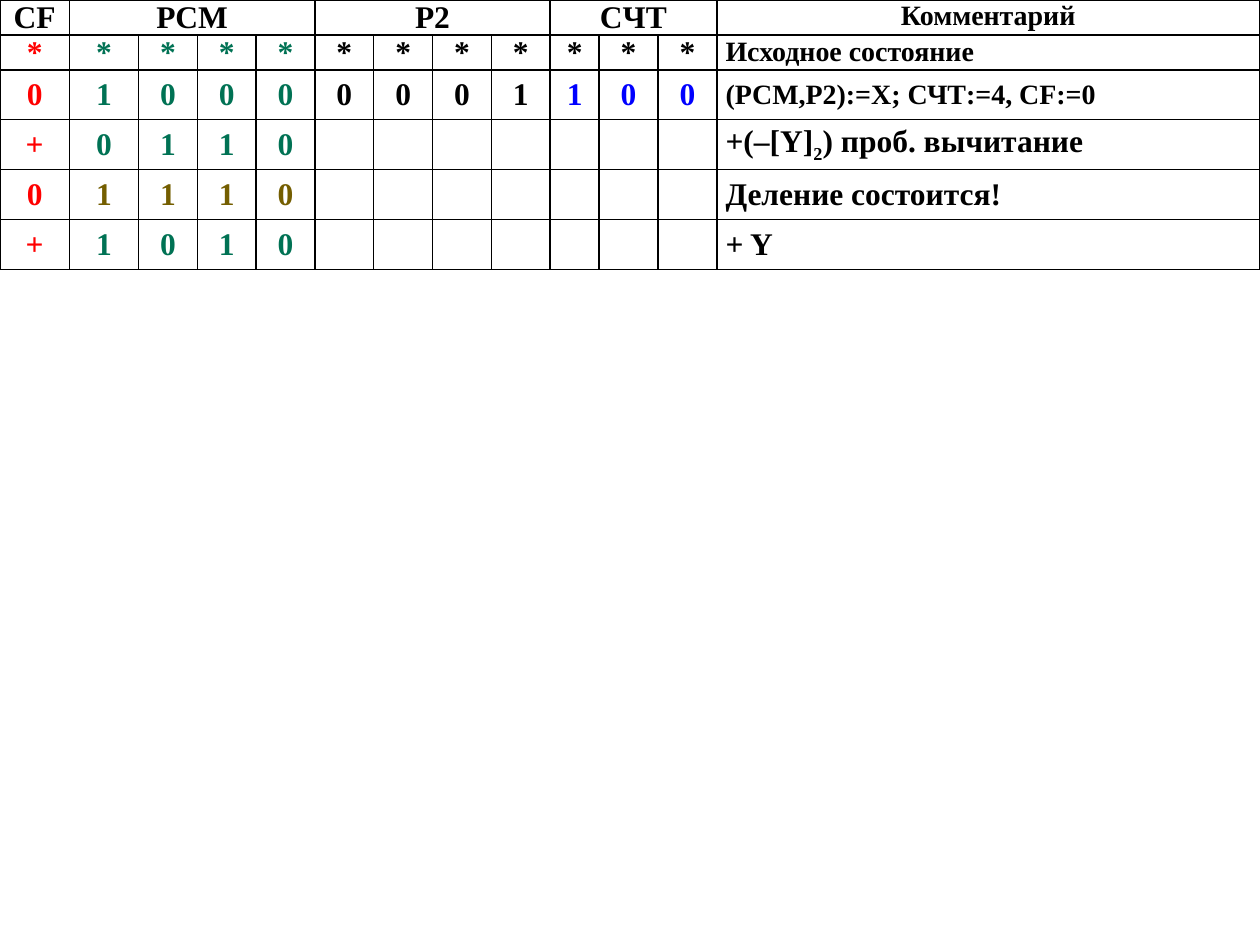
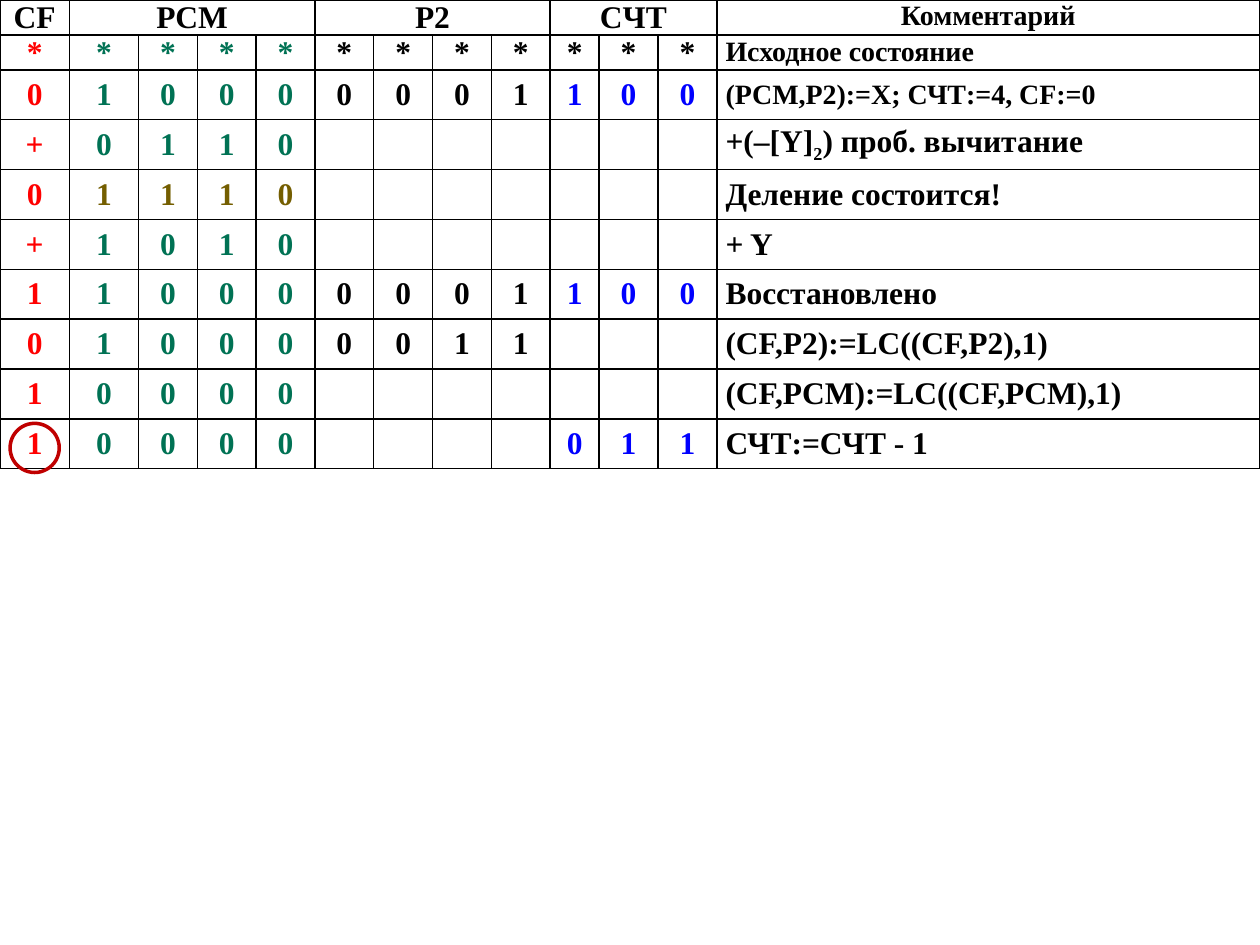
import pptx
import pptx.dml.color
import pptx.enum.shapes
import pptx.enum.text
import pptx.oxml.ns
import lxml.etree

FONT = "Times New Roman"
BLACK, RED, GREEN, OLIVE, BLUE = "000000", "FF0000", "007254", "745E00", "0000FF"
CIRCLE_RED = "C00000"

# Register name, number of bits, colour of its bits
REGISTERS = [("CF", 1, RED), ("PCM", 4, GREEN), ("P2", 4, BLACK), ("CЧТ", 3, BLUE)]
BIT_COUNT = sum(bits for _, bits, _ in REGISTERS)

# Contents of the four registers, then the comment as (text, is subscript) parts or text
STEPS = [
    ("*", "****", "****", "***", "Исходное состояние"),
    ("0", "1000", "0001", "100", "(РСМ,Р2):=Х; СЧТ:=4, CF:=0"),
    ("+", "0110", "", "", "+(–[Y]", "2", ") проб. вычитание"),
    ("0", "1110", "", "", "Деление состоится!"),
    ("+", "1010", "", "", "+ Y"),
    ("1", "1000", "0001", "100", "Восстановлено"),
    ("0", "1000", "0011", "", "(CF,P2):=LC((CF,P2),1)"),
    ("1", "0000", "", "", "(CF,PСМ):=LC((CF,PСМ),1)"),
    ("1", "0000", "", "011", "СЧТ:=СЧТ - 1"),
]
INITIAL_STEP, TRIAL_STEP = 0, 3
SMALL_COMMENT_STEPS = 2
STEPS_ON_PAGE = [5, 9]


def rgb(colour):
    return pptx.dml.color.RGBColor.from_string(colour)


def write_cell(cell, parts, colour=BLACK, size=18, centred=True, middle=True):
    """Fill a bordered cell with text parts; every second part is a subscript."""
    cell.margin_left = cell.margin_right = pptx.util.Inches(0.07)
    cell.margin_top = cell.margin_bottom = 0
    anchors = pptx.enum.text.MSO_ANCHOR
    cell.vertical_anchor = anchors.MIDDLE if middle else anchors.TOP
    para = cell.text_frame.paragraphs[0]
    if centred:
        para.alignment = pptx.enum.text.PP_ALIGN.CENTER
    para.space_after = pptx.util.Pt(1)
    para.font.name = FONT
    para.font.size = pptx.util.Pt(size)
    para.font.bold = True
    para.font.color.rgb = rgb(colour)
    for index, part in enumerate(parts):
        span = para.add_run()
        span.text = part
        if index % 2:
            span.font._element.set("baseline", "-25000")
    properties = cell._tc.get_or_add_tcPr()
    qn = pptx.oxml.ns.qn
    for side in ("a:lnL", "a:lnR", "a:lnT", "a:lnB"):
        border = lxml.etree.SubElement(properties, qn(side), w=str(pptx.util.Pt(1)))
        fill = lxml.etree.SubElement(border, qn("a:solidFill"))
        lxml.etree.SubElement(fill, qn("a:srgbClr"), val=BLACK)
    cell.fill.background()


deck = pptx.Presentation()
deck.slide_width = pptx.util.Inches(10)
deck.slide_height = pptx.util.Inches(7.5)
blank_layout = deck.slide_layouts[6]

# Columns: two wide bits, one narrow counter bit, the comment takes the rest
wide, usual, narrow = (int(deck.slide_width * share) for share in (0.055, 0.14 / 3, 0.039))
column_widths = [wide] * 2 + [usual] * 7 + [narrow] + [usual] * 2
column_widths.append(deck.slide_width - sum(column_widths))
short_row, tall_row = (int(deck.slide_height * share) for share in (0.037, 0.0528))

for step_count in STEPS_ON_PAGE:
    page = deck.slides.add_slide(blank_layout)
    row_heights = [short_row] * 2 + [tall_row] * (step_count - 1)
    frame = page.shapes.add_table(len(row_heights), len(column_widths), 0, 0,
                                  deck.slide_width, sum(row_heights))
    table = frame.table
    table.first_row = table.horz_banding = False
    for column, width in zip(table.columns, column_widths):
        column.width = width
    for row, height in zip(table.rows, row_heights):
        row.height = height

    first = 0
    for name, bits, _ in REGISTERS:
        for offset in range(bits):
            write_cell(table.cell(0, first + offset), [name] if offset == 0 else [], middle=False)
        if bits > 1:
            table.cell(0, first).merge(table.cell(0, first + bits - 1))
        first += bits
    write_cell(table.cell(0, BIT_COUNT), ["Комментарий"], size=16, middle=False)

    for step, (*contents, comment) in enumerate(
            (*values[:4], values[4:]) for values in STEPS[:step_count]):
        first = 0
        for (name, bits, colour), content in zip(REGISTERS, contents):
            if step == INITIAL_STEP and name == "CЧТ":
                colour = BLACK
            if step == TRIAL_STEP and name == "PCM":
                colour = OLIVE
            for offset in range(bits):
                write_cell(table.cell(step + 1, first + offset),
                           list(content[offset:offset + 1]), colour)
            first += bits
        write_cell(table.cell(step + 1, BIT_COUNT), comment, centred=False,
                   size=16 if step < SMALL_COMMENT_STEPS else 18)

# Circle around the carry flag in the last row
diameter = int(deck.slide_width * 0.039)
carry_circle = page.shapes.add_shape(
    pptx.enum.shapes.MSO_SHAPE.OVAL, (wide - diameter) // 2,
    int(deck.slide_height * 0.448), diameter, diameter)
carry_circle.shadow.inherit = False
carry_circle.fill.background()
carry_circle.line.color.rgb = rgb(CIRCLE_RED)
carry_circle.line.width = pptx.util.Pt(2)

deck.save("out.pptx")
